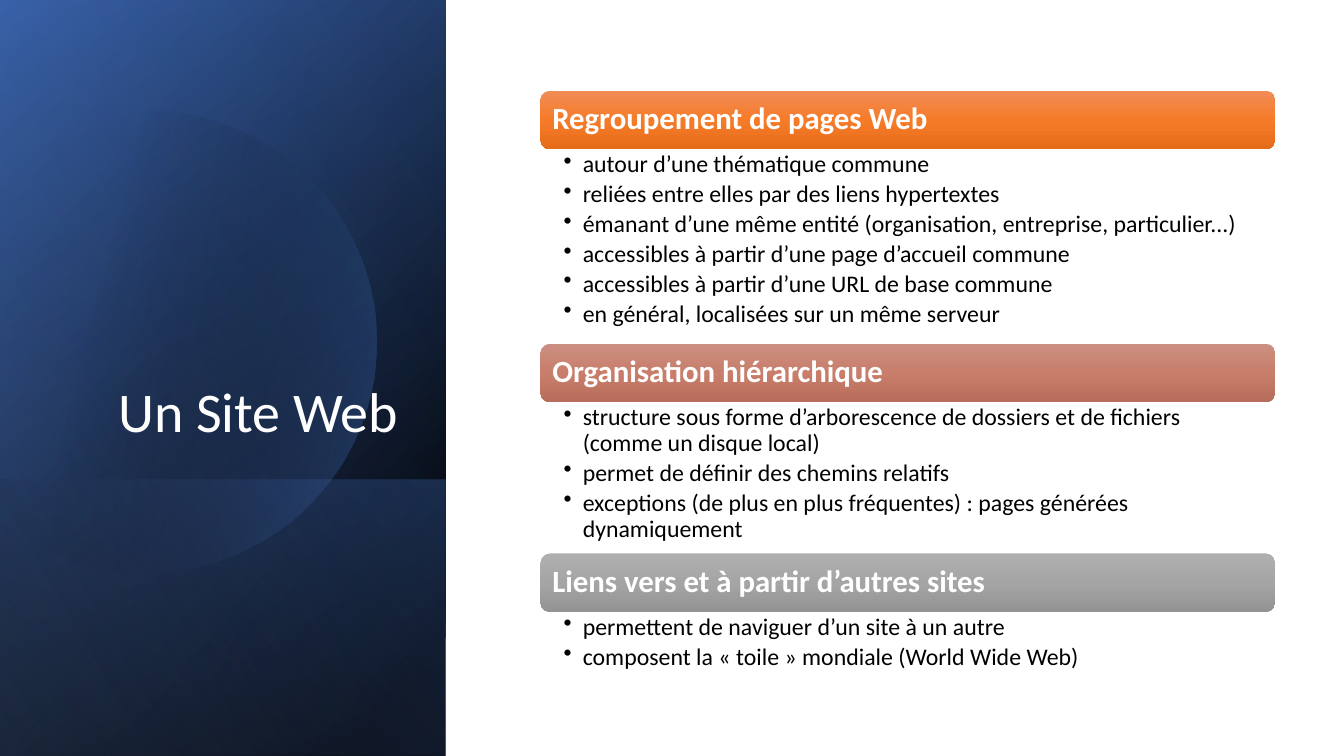
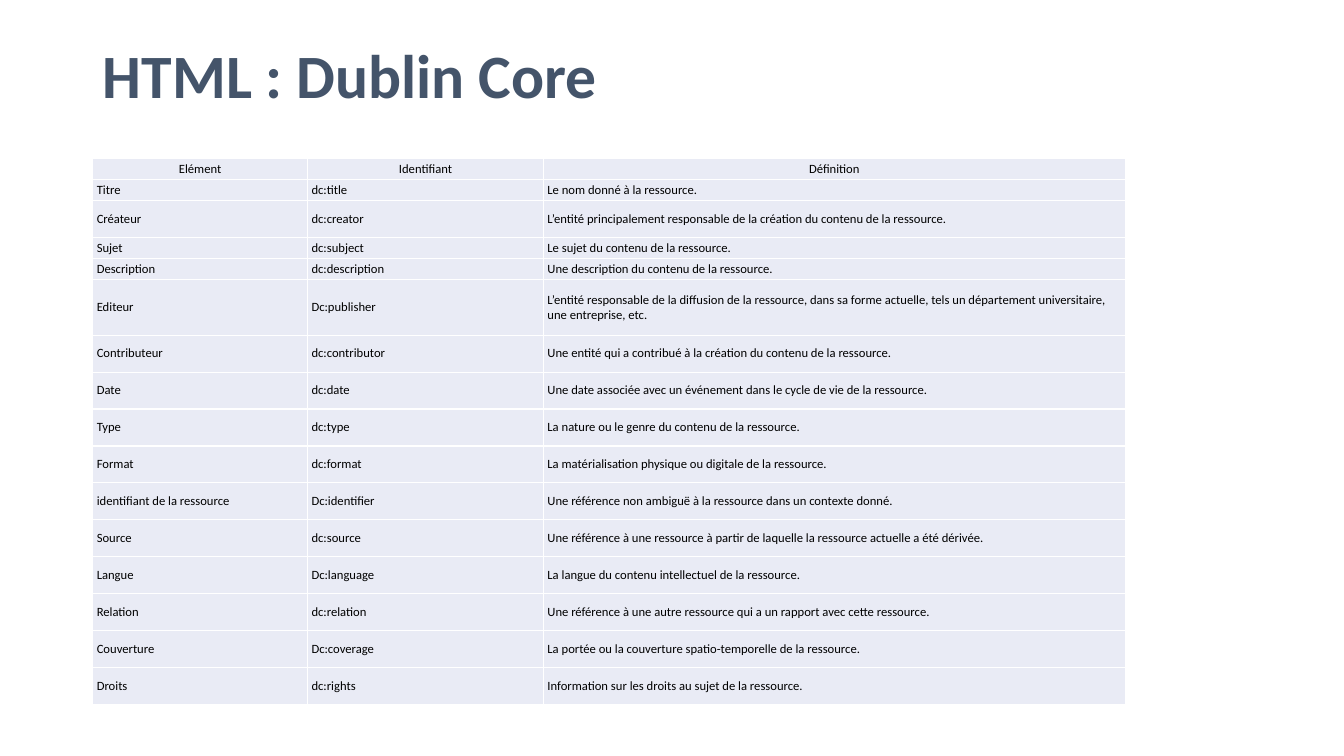
"""Build two French slides: what a web site is, and the Dublin Core elements."""
import math

import lxml.etree
import pptx
import pptx.dml.color
import pptx.enum.shapes
import pptx.enum.text
import pptx.oxml
import pptx.oxml.ns
import pptx.util

Inches = pptx.util.Inches
Pt = pptx.util.Pt
ANCHOR = pptx.enum.text.MSO_ANCHOR
ALIGN = pptx.enum.text.PP_ALIGN
SHAPE = pptx.enum.shapes.MSO_SHAPE
qn = pptx.oxml.ns.qn

FONT = "Calibri"
COLORS = {
    "black": "000000", "white": "FFFFFF", "navy": "2F5597", "blue": "4472C4",
    "pale_blue": "8FAADC", "slate": "44546A", "cell": "E9EBF5",
    "orange_light": "F18C57", "orange": "F67B28", "orange_dark": "E56C19",
    "brick_light": "CB8F81", "brick": "C97E6B", "brick_dark": "B76D5B",
    "gray_light": "AFAFAF", "gray": "A5A5A5", "gray_dark": "939393",
}


def write(paragraph, text, size, color, bold=False):
    """Add one formatted run to a paragraph."""
    run = paragraph.add_run()
    run.text = text
    run.font.name = FONT
    run.font.size = Pt(size)
    run.font.bold = bold
    run.font.color.rgb = pptx.dml.color.RGBColor.from_string(COLORS[color])


def paint(shape, stops, angle):
    """Fill a shape with a gradient of (position, colour, opacity) stops."""
    shape.shadow.inherit = False
    shape.line.fill.background()
    shape.fill.background()
    gradient = lxml.etree.Element(qn("a:gradFill"), rotWithShape="1")
    stop_list = lxml.etree.SubElement(gradient, qn("a:gsLst"))
    for position, color, opacity in stops:
        stop = lxml.etree.SubElement(stop_list, qn("a:gs"), pos=str(position * 1000))
        tint = lxml.etree.SubElement(stop, qn("a:srgbClr"), val=COLORS[color])
        if opacity < 100:
            lxml.etree.SubElement(tint, qn("a:alpha"), val=str(opacity * 1000))
    lxml.etree.SubElement(gradient, qn("a:lin"), ang=str(angle * 60000), scaled="0")
    properties = shape._element.spPr
    properties.replace(properties.find(qn("a:noFill")), gradient)


prs = pptx.Presentation()
prs.slide_width, prs.slide_height = Inches(13.33), Inches(7.5)

slides = []
for text, box, size, color, bold, anchor, align in [
    ("Un Site Web", (0.64, 1.84, 3.41, 2.62), 40, "white", False, ANCHOR.BOTTOM, ALIGN.RIGHT),
    ("HTML : Dublin Core", (0.92, 0.4, 11.5, 1.45), 44, "slate", True, ANCHOR.TOP, ALIGN.LEFT),
]:
    slide = prs.slides.add_slide(prs.slide_layouts[5])
    title = slide.shapes.title
    title.left, title.top, title.width, title.height = map(Inches, box)
    title.text_frame.auto_size = pptx.enum.text.MSO_AUTO_SIZE.NONE
    title.text_frame.vertical_anchor = anchor
    title.text_frame.paragraphs[0].alignment = align
    title.text_frame.paragraphs[0].line_spacing = 0.9
    write(title.text_frame.paragraphs[0], text, size, color, bold)
    slides.append(slide)
site, dublin = slides

PANEL_WIDTH = 4.42
BAND_TOP = 4.76
panels = [
    (0, [(8, "black", 100), (100, "navy", 100)], 220),
    (0, [(0, "black", 0), (99, "blue", 46)], 240),
    (BAND_TOP, [(2, "blue", 29), (100, "black", 30)], 140),
    (0, [(0, "black", 0), (99, "pale_blue", 11)], 150),
]
for index, (top, stops, angle) in enumerate(panels):
    if index == 3:
        disc_points = [
            (Inches(1.44 + 2.29 * math.cos(math.radians(degree))),
             Inches(3.39 + 2.29 * math.sin(math.radians(degree))))
            for degree in range(-129, 130, 3)
        ]
        outline = site.shapes.build_freeform(*disc_points[0])
        outline.add_line_segments(disc_points[1:], close=True)
        paint(outline.convert_to_shape(), [(29, "black", 0), (100, "blue", 43)], 14)
    panel = site.shapes.add_shape(
        SHAPE.RECTANGLE, 0, Inches(top), Inches(PANEL_WIDTH), Inches(7.5 - top))
    paint(panel, stops, angle)
site.shapes._spTree.append(site.shapes.title._element)

LIST_LEFT, LIST_WIDTH, HEADING_HEIGHT = 5.36, 7.29, 0.58
sections = [
    ("Regroupement de pages Web", "orange", 1.93, [
        "autour d’une thématique commune",
        "reliées entre elles par des liens hypertextes",
        "émanant d’une même entité (organisation, entreprise, particulier...)",
        "accessibles à partir d’une page d’accueil commune",
        "accessibles à partir d’une URL de base commune",
        "en général, localisées sur un même serveur",
    ]),
    ("Organisation hiérarchique", "brick", 1.5, [
        "structure sous forme d’arborescence de dossiers et de fichiers (comme un disque local)",
        "permet de définir des chemins relatifs",
        "exceptions (de plus en plus fréquentes) : pages générées dynamiquement",
    ]),
    ("Liens vers et à partir d’autres sites", "gray", 0.65, [
        "permettent de naviguer d’un site à un autre",
        "composent la « toile » mondiale (World Wide Web)",
    ]),
]
section_top = 0.9
for heading, hue, points_height, points in sections:
    bar = site.shapes.add_shape(
        SHAPE.ROUNDED_RECTANGLE, Inches(LIST_LEFT), Inches(section_top),
        Inches(LIST_WIDTH), Inches(HEADING_HEIGHT))
    paint(bar, [(0, hue + "_light", 100), (50, hue, 100), (100, hue + "_dark", 100)], 90)
    frame = bar.text_frame
    frame.margin_left = frame.margin_right = Inches(0.09)
    frame.vertical_anchor = ANCHOR.MIDDLE
    frame.paragraphs[0].alignment = ALIGN.LEFT
    frame.paragraphs[0].line_spacing = 0.9
    write(frame.paragraphs[0], heading, 22, "white", True)

    frame = site.shapes.add_textbox(
        Inches(LIST_LEFT), Inches(section_top + HEADING_HEIGHT),
        Inches(LIST_WIDTH), Inches(points_height)).text_frame
    frame.word_wrap = True
    frame.margin_left, frame.margin_right = Inches(0.23), Inches(0.17)
    frame.margin_top = frame.margin_bottom = Inches(0.03)
    for index, point in enumerate(points):
        paragraph = frame.add_paragraph() if index else frame.paragraphs[0]
        paragraph.line_spacing = 0.9
        paragraph.space_after = Pt(3)
        properties = paragraph._p.get_or_add_pPr()
        properties.set("marL", str(Inches(0.19)))
        properties.set("indent", str(-Inches(0.19)))
        lxml.etree.SubElement(properties, qn("a:buChar"), char="•")
        write(paragraph, point, 17, "black")
    section_top += HEADING_HEIGHT + points_height

elements = [
    ("Elément", "Identifiant", "Définition"),
    ("Titre", "dc:title", "Le nom donné à la ressource."),
    ("Créateur", "dc:creator",
     "L’entité principalement responsable de la création du contenu de la ressource."),
    ("Sujet", "dc:subject", "Le sujet du contenu de la ressource."),
    ("Description", "dc:description", "Une description du contenu de la ressource."),
    ("Editeur", "Dc:publisher",
     "L’entité responsable de la diffusion de la ressource, dans sa forme actuelle, "
     "tels un département universitaire, une entreprise, etc."),
    ("Contributeur", "dc:contributor",
     "Une entité qui a contribué à la création du contenu de la ressource."),
    ("Date", "dc:date",
     "Une date associée avec un événement dans le cycle de vie de la ressource."),
    ("Type", "dc:type", "La nature ou le genre du contenu de la ressource."),
    ("Format", "dc:format", "La matérialisation physique ou digitale de la ressource."),
    ("identifiant de la ressource", "Dc:identifier",
     "Une référence non ambiguë à la ressource dans un contexte donné."),
    ("Source", "dc:source",
     "Une référence à une ressource à partir de laquelle la ressource actuelle a été dérivée."),
    ("Langue", "Dc:language", "La langue du contenu intellectuel de la ressource."),
    ("Relation", "dc:relation",
     "Une référence à une autre ressource qui a un rapport avec cette ressource."),
    ("Couverture", "Dc:coverage",
     "La portée ou la couverture spatio-temporelle de la ressource."),
    ("Droits", "dc:rights", "Information sur les droits au sujet de la ressource."),
]
TABLE_HEIGHT = 5.42
special_heights = {0: 0.21, 1: 0.21, 3: 0.21, 4: 0.21, 5: 0.55}
regular_height = (TABLE_HEIGHT - sum(special_heights.values())) / (
    len(elements) - len(special_heights))
table = dublin.shapes.add_table(
    len(elements), 3, Inches(0.92), Inches(1.57), Inches(10.24), Inches(TABLE_HEIGHT)).table
table.first_row = table.horz_banding = False
for column, width in zip(table.columns, (2.13, 2.34, 5.77)):
    column.width = Inches(width)
for row_index, element in enumerate(elements):
    table.rows[row_index].height = Inches(special_heights.get(row_index, regular_height))
    for column_index, text in enumerate(element):
        cell = table.cell(row_index, column_index)
        cell.margin_left = cell.margin_right = Inches(0.04)
        cell.margin_top = cell.margin_bottom = 0
        cell.vertical_anchor = ANCHOR.MIDDLE
        properties = cell._tc.get_or_add_tcPr()
        for side in ("a:lnL", "a:lnR", "a:lnT", "a:lnB"):
            border = lxml.etree.SubElement(properties, qn(side), w=str(Pt(1)))
            border_fill = lxml.etree.SubElement(border, qn("a:solidFill"))
            lxml.etree.SubElement(border_fill, qn("a:srgbClr"), val=COLORS["white"])
        cell.fill.solid()
        cell.fill.fore_color.rgb = pptx.dml.color.RGBColor.from_string(COLORS["cell"])
        paragraph = cell.text_frame.paragraphs[0]
        paragraph.alignment = ALIGN.LEFT if row_index else ALIGN.CENTER
        paragraph.line_spacing = Pt(11)
        paragraph.space_before = paragraph.space_after = Pt(2)
        write(paragraph, text, 9, "black")

prs.save("out.pptx")
